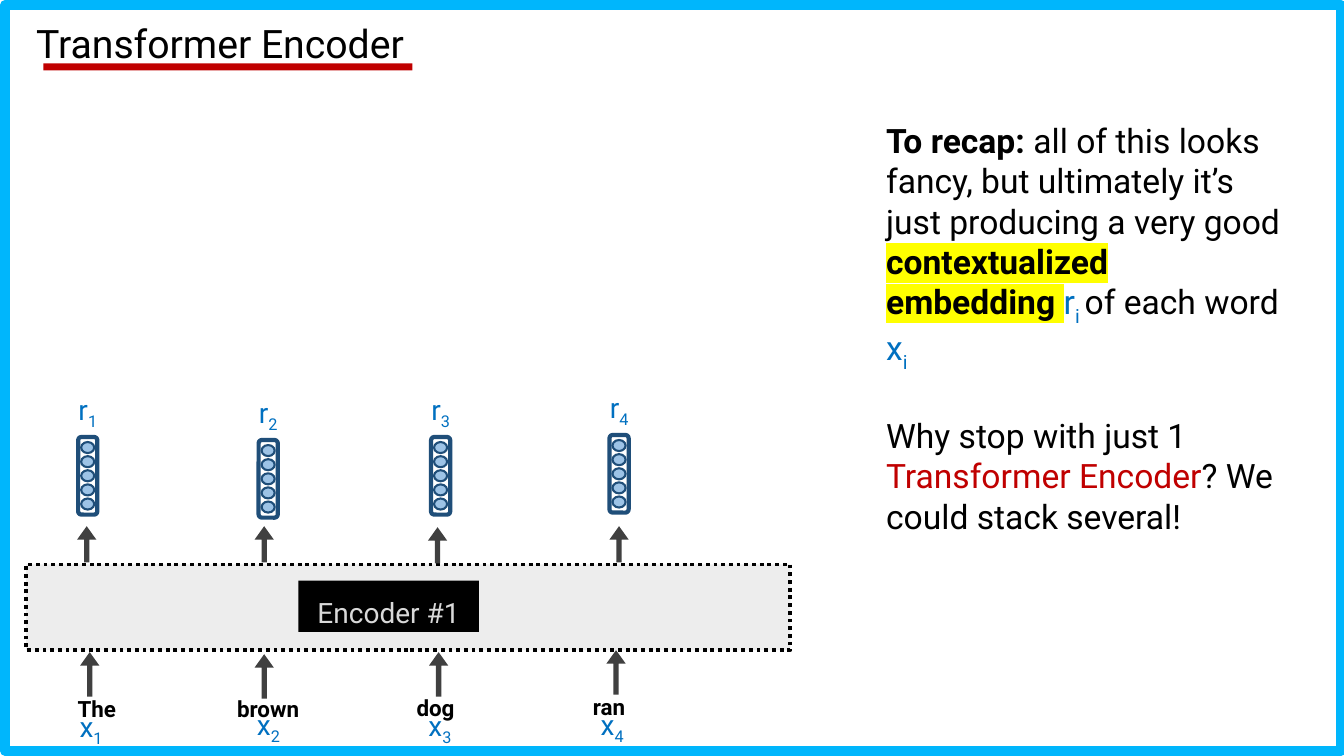
from dataclasses import dataclass

from lxml import etree
from pptx import Presentation
from pptx.dml.color import RGBColor
from pptx.enum.dml import MSO_LINE
from pptx.enum.shapes import MSO_SHAPE
from pptx.enum.text import PP_ALIGN
from pptx.oxml.ns import qn
from pptx.util import Inches, Pt

RECTANGLE = MSO_SHAPE.RECTANGLE
ROUNDED = MSO_SHAPE.ROUNDED_RECTANGLE
OVAL = MSO_SHAPE.OVAL
ARROW = MSO_SHAPE.RIGHT_ARROW
LEFT, CENTER, RIGHT = PP_ALIGN.LEFT, PP_ALIGN.CENTER, PP_ALIGN.RIGHT
DOTTED = MSO_LINE.ROUND_DOT


@dataclass(frozen=True)
class Theme:
    font: str = "Roboto"
    title_size: int = 28
    body_size: int = 24
    label_size: int = 20
    word_size: int = 16
    white: str = "FFFFFF"
    black: str = "000000"
    frame: str = "00B6FC"
    red: str = "C00000"
    blue: str = "0070C0"
    navy: str = "1F4E79"
    circle: str = "9DC3E6"
    arrow: str = "404040"
    panel: str = "EDEDED"
    pale: str = "D9D9D9"
    highlight: str = "FFFF00"


@dataclass(frozen=True)
class Token:
    word: str
    word_box: tuple
    align: PP_ALIGN
    input_label: tuple
    input_arrow: tuple
    output_arrow: tuple
    vector: tuple


THEME = Theme()
TOKENS = (
    Token("The", (0.48, 6.79, 0.77, 0.55), RIGHT,
          (0.69, 6.99), (0.89, 6.69), (0.86, 5.4), (0.87, 4.72)),
    Token("brown", (1.98, 6.79, 1.36, 0.55), CENTER,
          (2.45, 6.97), (2.62, 6.71), (2.62, 5.4), (2.66, 4.75)),
    Token("dog", (3.64, 6.78, 1.36, 0.55), CENTER,
          (4.15, 6.98), (4.35, 6.69), (4.34, 5.41), (4.37, 4.72)),
    Token("ran", (5.36, 6.77, 1.36, 0.55), CENTER,
          (5.86, 6.97), (6.11, 6.67), (6.14, 5.4), (6.14, 4.7)),
)


def color(value):
    return RGBColor.from_string(value)


def add_box(shapes, kind, box, fill=None, line=None, width=0):
    shape = shapes.add_shape(kind, *map(Inches, box))
    shape.shadow.inherit = False
    if fill:
        shape.fill.solid()
        shape.fill.fore_color.rgb = color(fill)
    else:
        shape.fill.background()
    if line:
        shape.line.color.rgb = color(line)
        shape.line.width = Pt(width)
    else:
        shape.line.fill.background()
    return shape


def add_upright(shapes, kind, center, length, thickness, **style):
    x, y = center
    box = (x - length / 2, y - thickness / 2, length, thickness)
    shape = add_box(shapes, kind, box, **style)
    shape.rotation = 270
    return shape


def add_arrow(shapes, center, length):
    arrow = add_upright(shapes, ARROW, center, length, 0.19, fill=THEME.arrow)
    arrow.adjustments[0] = 0.276
    arrow.adjustments[1] = 0.696


def add_run(paragraph, text, size, ink=THEME.black, bold=False,
            subscript=False, highlight=None):
    run = paragraph.add_run()
    run.text = text
    run.font.size = Pt(size)
    run.font.bold = bold
    run.font.color.rgb = color(ink)
    run.font.name = THEME.font
    properties = run._r.get_or_add_rPr()
    if subscript:
        properties.set("baseline", "-25000")
    if highlight:
        mark = etree.Element(qn("a:highlight"))
        etree.SubElement(mark, qn("a:srgbClr")).set("val", highlight)
        properties.find(qn("a:solidFill")).addnext(mark)


def add_text(shapes, box, align=LEFT, spacing=None):
    frame = shapes.add_textbox(*map(Inches, box)).text_frame
    frame.word_wrap = True
    paragraph = frame.paragraphs[0]
    paragraph.alignment = align
    if spacing:
        paragraph.line_spacing = spacing
    return frame


def add_symbol(paragraph, letter, index, size):
    add_run(paragraph, letter, size, THEME.blue)
    add_run(paragraph, index, size, THEME.blue, subscript=True)


def add_symbol_label(shapes, letter, index, left, top):
    frame = add_text(shapes, (left, top, 0.45, 0.44))
    add_symbol(frame.paragraphs[0], letter, index, THEME.label_size)


def add_title(shapes, left, top, width, height):
    add_box(shapes, RECTANGLE, (left + 0.17, top + 0.44, 3.66, 0.07), THEME.red)
    frame = add_text(shapes, (left, top, width, height), spacing=0.9)
    add_run(frame.paragraphs[0], "Transformer Encoder", THEME.title_size)


def add_vector(shapes, center):
    x, y = center
    group = shapes.add_group_shape().shapes
    add_upright(group, ROUNDED, center, 0.77, 0.19, line=THEME.navy, width=3)
    for step in range(-2, 3):
        add_upright(group, OVAL, (x, y + step * 0.14), 0.11, 0.13,
                    fill=THEME.circle, line=THEME.navy, width=1.5)


def add_token(shapes, token, index):
    frame = add_text(shapes, token.word_box, token.align, 1.2)
    add_run(frame.paragraphs[0], token.word, THEME.word_size, bold=True)
    add_symbol_label(shapes, "x", index, *token.input_label)
    add_arrow(shapes, token.input_arrow, 0.44)
    add_arrow(shapes, token.output_arrow, 0.36)
    add_vector(shapes, token.vector)
    x, y = token.vector
    add_symbol_label(shapes, "r", index, x - 0.19, y - 0.88)


def add_encoder(shapes, left, top, width, height):
    panel = add_box(shapes, RECTANGLE, (left, top, width, height),
                    THEME.panel, THEME.black, 2.75)
    panel.line.dash_style = DOTTED
    label_left = left + 2.7
    add_box(shapes, RECTANGLE, (label_left, top + 0.16, 1.79, 0.51), THEME.black)
    frame = add_text(shapes, (label_left, top + 0.19, 1.79, 0.39), CENTER, 1.2)
    add_run(frame.paragraphs[0], "Encoder #1", THEME.label_size, THEME.pale)


def add_recap(shapes, left, top, width, height):
    size = THEME.body_size
    frame = add_text(shapes, (left, top, width, height))
    recap = frame.paragraphs[0]
    add_run(recap, "To recap: ", size, bold=True)
    add_run(recap, "all of this looks fancy, but ultimately it’s just "
                   "producing a very good ", size)
    add_run(recap, "contextualized embedding ", size, bold=True,
            highlight=THEME.highlight)
    add_symbol(recap, "r", "i ", size)
    add_run(recap, "of each word ", size)
    add_symbol(recap, "x", "i", size)
    question = frame.add_paragraph()
    question.space_before = Pt(30)
    add_run(question, "Why stop with just 1 ", size)
    add_run(question, "Transformer Encoder", size, THEME.red)
    add_run(question, "? We could stack several!", size)


def main():
    presentation = Presentation()
    presentation.slide_width = Inches(13.33)
    presentation.slide_height = Inches(7.5)
    slide = presentation.slides.add_slide(presentation.slide_layouts[6])
    shapes = slide.shapes
    add_box(shapes, RECTANGLE, (0.05, 0.05, 13.25, 7.4),
            THEME.white, THEME.frame, 7)
    add_title(shapes, 0.26, 0.19, 9.65, 0.68)
    add_recap(shapes, 8.69, 1.14, 4.11, 4.16)
    add_encoder(shapes, 0.26, 5.6, 7.58, 0.85)
    for number, token in enumerate(TOKENS, start=1):
        add_token(shapes, token, str(number))
    presentation.save("out.pptx")


if __name__ == "__main__":
    main()
